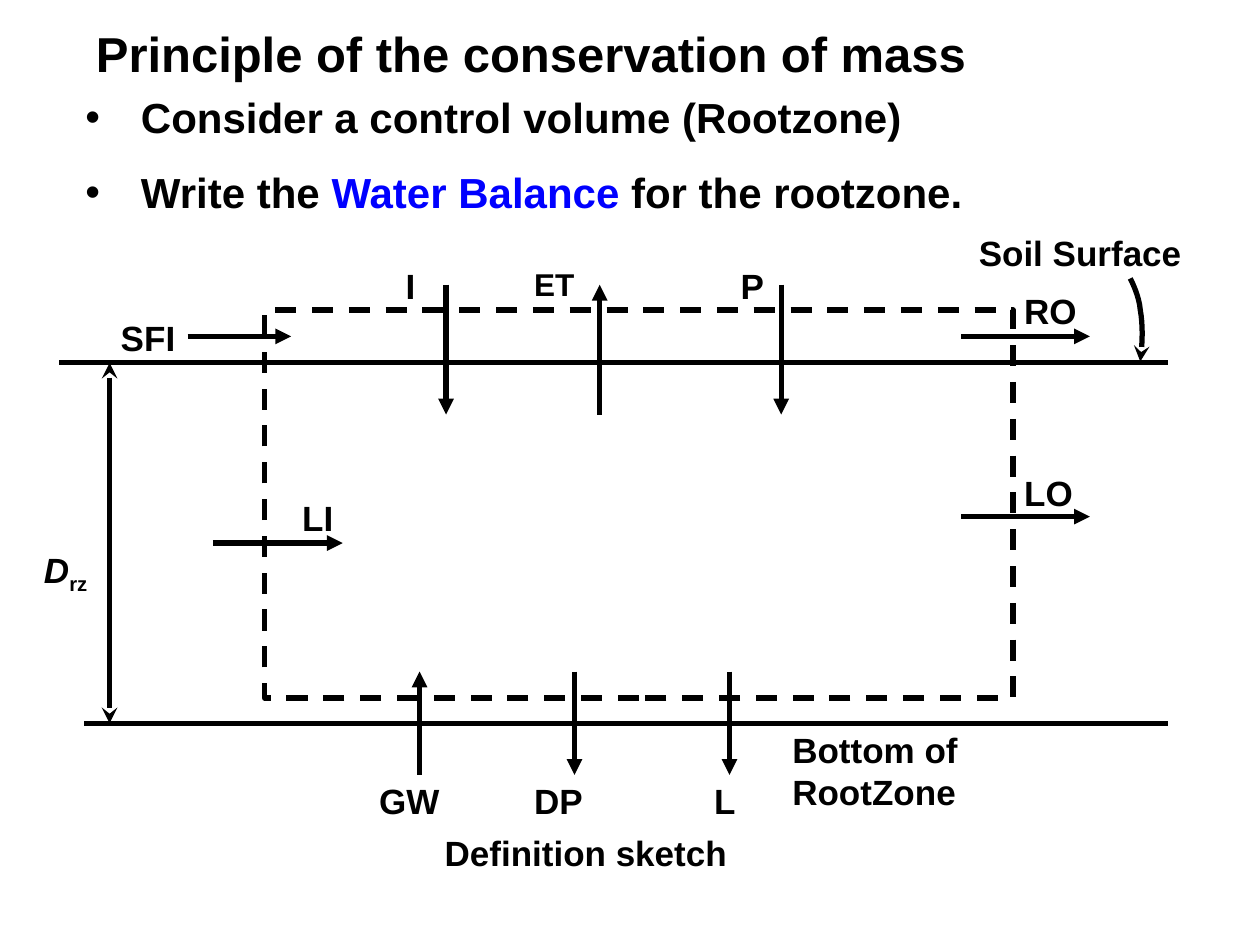
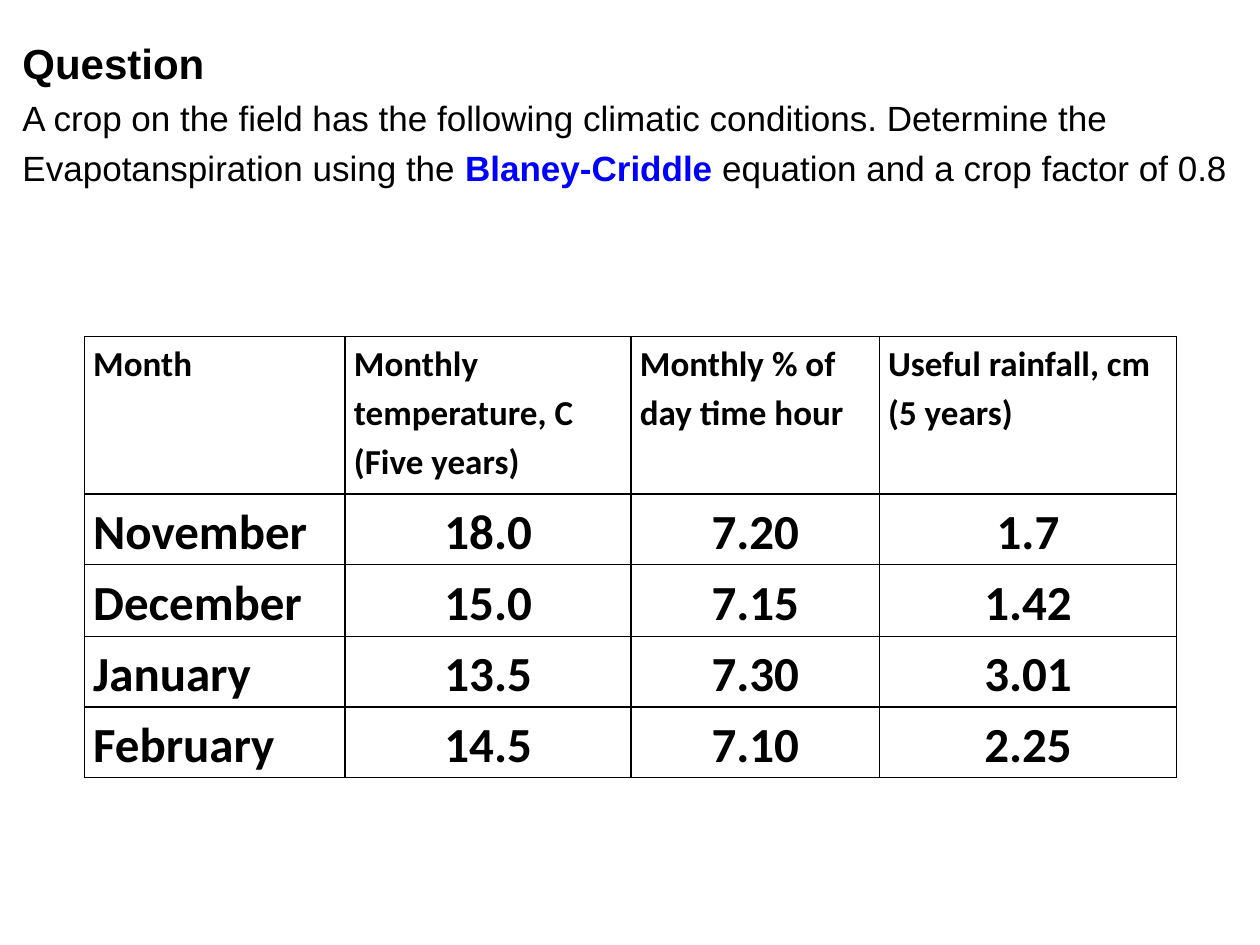
from dataclasses import dataclass

from lxml.etree import SubElement
from pptx import Presentation
from pptx.dml.color import RGBColor
from pptx.enum.dml import MSO_LINE
from pptx.enum.shapes import MSO_CONNECTOR, MSO_SHAPE
from pptx.enum.text import MSO_ANCHOR, PP_ALIGN
from pptx.oxml.ns import qn
from pptx.util import Pt

SCALE = 9144  # EMU per px, 100 px to the inch


@dataclass(frozen=True)
class Theme:
    ink: RGBColor = RGBColor(0, 0, 0)
    blue: RGBColor = RGBColor(0, 0, 255)
    sans: str = "Arial"
    grid: str = "Calibri"
    title: int = 28
    head: int = 24
    body: int = 20
    small: int = 18
    line: int = 3


THEME = Theme()


def px(*nums):
    return [round(n * SCALE) for n in nums]


# Shared text helpers
def style(par, size, bold=True, face=THEME.sans):
    font = par.font
    font.name, font.size, font.bold = face, Pt(size), bold
    font.color.rgb = THEME.ink


def add_run(par, text):
    run = par.add_run()
    run.text = text
    return run


def add_runs(par, before, key, after):
    """Write a sentence with one blue, bold key term."""
    add_run(par, before)
    term = add_run(par, key).font
    term.color.rgb, term.bold = THEME.blue, True
    add_run(par, after)


def add_box(slide, x, y, w, h):
    frame = slide.shapes.add_textbox(*px(x, y, w, h)).text_frame
    frame.word_wrap = True
    return frame


def add_label(slide, text, x, y, w, h=61, size=THEME.body):
    par = add_box(slide, x, y, w, h).paragraphs[0]
    add_run(par, text)
    style(par, size)
    return par


# Shared line helpers
def ink_line(shape, head=None, tail=None):
    shape.line.color.rgb = THEME.ink
    shape.line.width = Pt(THEME.line)
    ln = shape.line._get_or_add_ln()
    for tag, kind in (("a:headEnd", head), ("a:tailEnd", tail)):
        if kind:
            SubElement(ln, qn(tag), type=kind)


def add_line(slide, x1, y1, x2, y2, head=None, tail=None):
    line = slide.shapes.add_connector(MSO_CONNECTOR.STRAIGHT, *px(x1, y1, x2, y2))
    ink_line(line, head, tail)
    SubElement(line._element.spPr, qn("a:effectLst"))


def bezier(a, b, c, d, steps=8):
    """Points along a cubic curve, without its start."""
    for i in range(1, steps + 1):
        t = i / steps
        u = 1 - t
        yield tuple(u**3 * p + 3 * u * u * t * q + 3 * u * t * t * r + t**3 * s
                    for p, q, r, s in zip(a, b, c, d))


def add_curve(slide, *knots):
    pts = [knots[0]]
    for i in range(0, len(knots) - 1, 3):
        pts += bezier(*knots[i:i + 4])
    pts = [px(*p) for p in pts]
    path = slide.shapes.build_freeform(*pts[0])
    path.add_line_segments(pts[1:], close=False)
    curve = path.convert_to_shape()
    curve.shadow.inherit = False
    curve.fill.background()
    ink_line(curve, tail="stealth")


# Slide 1: title and bullets
def add_title(slide, text, x, y, w, h):
    frame = add_box(slide, x, y, w, h)
    frame.margin_top, frame.margin_right = px(19, 25)
    par = frame.paragraphs[0]
    add_run(par, text)
    par.alignment = PP_ALIGN.CENTER
    style(par, THEME.title)


def add_points(slide, x, y, w, h):
    frame = add_box(slide, x, y, w, h)
    frame.vertical_anchor = MSO_ANCHOR.MIDDLE
    first, second = frame.paragraphs[0], frame.add_paragraph()
    add_run(first, "Consider a control volume (Rootzone)")
    add_runs(second, "Write the ", "Water Balance", " for the rootzone.")
    second.line_spacing = 1.5
    for par in (first, second):
        props = par._p.get_or_add_pPr()
        dent, = px(44)
        props.set("marL", str(dent))
        props.set("indent", str(-dent))
        SubElement(props, qn("a:buFont"), typeface=THEME.sans)
        SubElement(props, qn("a:buChar"), char="•")
        style(par, THEME.head)


# Slide 1: water balance of the root zone
def add_sketch(slide, x, y):
    soil, base = y + 109, y + 395

    # Soil surface, bottom of the root zone, and control volume
    add_line(slide, x + 22, soil, x + 902, soil)
    add_line(slide, x + 42, base, x + 902, base)
    zone = slide.shapes.add_shape(MSO_SHAPE.RECTANGLE,
                                  *px(x + 185, y + 67, 594, 308))
    zone.shadow.inherit = False
    zone.fill.background()
    ink_line(zone)
    zone.line.dash_style = MSO_LINE.DASH

    # Depth of the root zone
    add_line(slide, x + 62, soil, x + 62, base, "stealth", "stealth")
    depth = add_label(slide, "D", x, y + 251, 61)
    depth.runs[0].font.italic = True
    sub = add_run(depth, "rz")
    sub._r.get_or_add_rPr().set("baseline", "-25000")

    # Sideways flows: label, its left, top, width, height, arrow from, to, level
    for text, lx, ly, w, h, x1, x2, level in (
            ("SFI", 61, 67, 82, 41, 124, 206, 88),
            ("LI", 205, 210, 61, 61, 144, 247, 252),
            ("RO", 778, 46, 82, 61, 738, 840, 88),
            ("LO", 778, 190, 82, 61, 738, 840, 231)):
        add_line(slide, x + x1, y + level, x + x2, y + level, tail="triangle")
        add_label(slide, text, x + lx, y + ly, w, h)

    # Upright flows: label, its left, width, size, arrow place, top row, upward
    for text, lx, w, size, ax, top, up in (
            ("I", 287, 61, THEME.body, 329, True, False),
            ("ET", 389, 82, THEME.small, 451, True, True),
            ("P", 553, 61, THEME.body, 595, True, False),
            ("GW", 266, 82, THEME.body, 308, False, True),
            ("DP", 389, 82, THEME.body, 431, False, False),
            ("L", 532, 61, THEME.body, 554, False, False)):
        high, low, ly = (47, 150, 26) if top else (354, 436, 435)
        start, end = (low, high) if up else (high, low)
        add_line(slide, x + ax, y + start, x + ax, y + end, tail="triangle")
        add_label(slide, text, x + lx, y + ly, w, size=size)

    # Captions
    add_label(slide, "Bottom of RootZone", x + 594, y + 394, 266)
    name = add_label(slide, "Definition sketch", x + 184, y + 476, 512)
    name.alignment = PP_ALIGN.CENTER
    add_label(slide, "Soil Surface", x + 742, y, 200, 38)
    knots = ((872, 42), (874, 46), (879, 56), (880, 67),
             (882, 78), (882, 92), (880, 108))
    add_curve(slide, *((x + a, y + b) for a, b in knots))


# Slide 2: question and climate table
def add_question(slide, x, y, w, h):
    frame = add_box(slide, x, y, w, h)
    head, body = frame.paragraphs[0], frame.add_paragraph()
    add_run(head, "Question")
    add_runs(body, "A crop on the field has the following climatic conditions. "
             "Determine the Evapotanspiration using the ", "Blaney-Criddle",
             " equation and a crop factor of 0.8")
    head.line_spacing = body.line_spacing = 1.2
    style(head, THEME.head)
    style(body, THEME.body, bold=False)


def rule_cell(cell):
    props = cell._tc.get_or_add_tcPr()
    for side in ("L", "R", "T", "B"):
        ln = SubElement(props, qn(f"a:ln{side}"), w=str(Pt(1)))
        fill = SubElement(ln, qn("a:solidFill"))
        SubElement(fill, qn("a:srgbClr"), val=str(THEME.ink))
    cell.fill.background()


def add_climate(slide, x, y, w, h):
    rows = (
        ("Month", "Monthly temperature, C (Five years)",
         "Monthly % of day time hour", "Useful rainfall, cm (5 years)"),
        ("November", "18.0", "7.20", "1.7"),
        ("December", "15.0", "7.15", "1.42"),
        ("January", "13.5", "7.30", "3.01"),
        ("February", "14.5", "7.10", "2.25"),
    )
    table = slide.shapes.add_table(len(rows), len(rows[0]), *px(x, y, w, h)).table
    table.first_row = table.horz_banding = False
    for col, wide in zip(table.columns, px(207, 227, 197, 236)):
        col.width = wide
    for row, tall in zip(table.rows, px(125, 56, 57, 56, 56)):
        row.height = tall
    for r, texts in enumerate(rows):
        for c, text in enumerate(texts):
            cell = table.cell(r, c)
            cell.margin_left, cell.margin_right = px(7, 7)
            cell.margin_top = cell.margin_bottom = 0
            rule_cell(cell)
            par = cell.text_frame.paragraphs[0]
            add_run(par, text)
            par.line_spacing = 1.15
            if r and c:
                par.alignment = PP_ALIGN.CENTER
            style(par, THEME.title if r else THEME.body, face=THEME.grid)


def main():
    deck = Presentation()
    deck.slide_width, deck.slide_height = px(1000, 750)
    blank = deck.slide_layouts[6]

    mass = deck.slides.add_slide(blank)
    add_sketch(mass, 25, 179)
    add_points(mass, 58, 67, 808, 111)
    add_title(mass, "Principle of the conservation of mass", 50, 0, 758, 62)

    task = deck.slides.add_slide(blank)
    add_climate(task, 67, 267, 867, 350)
    add_question(task, 8, 17, 992, 139)

    deck.save("out.pptx")


if __name__ == "__main__":
    main()
